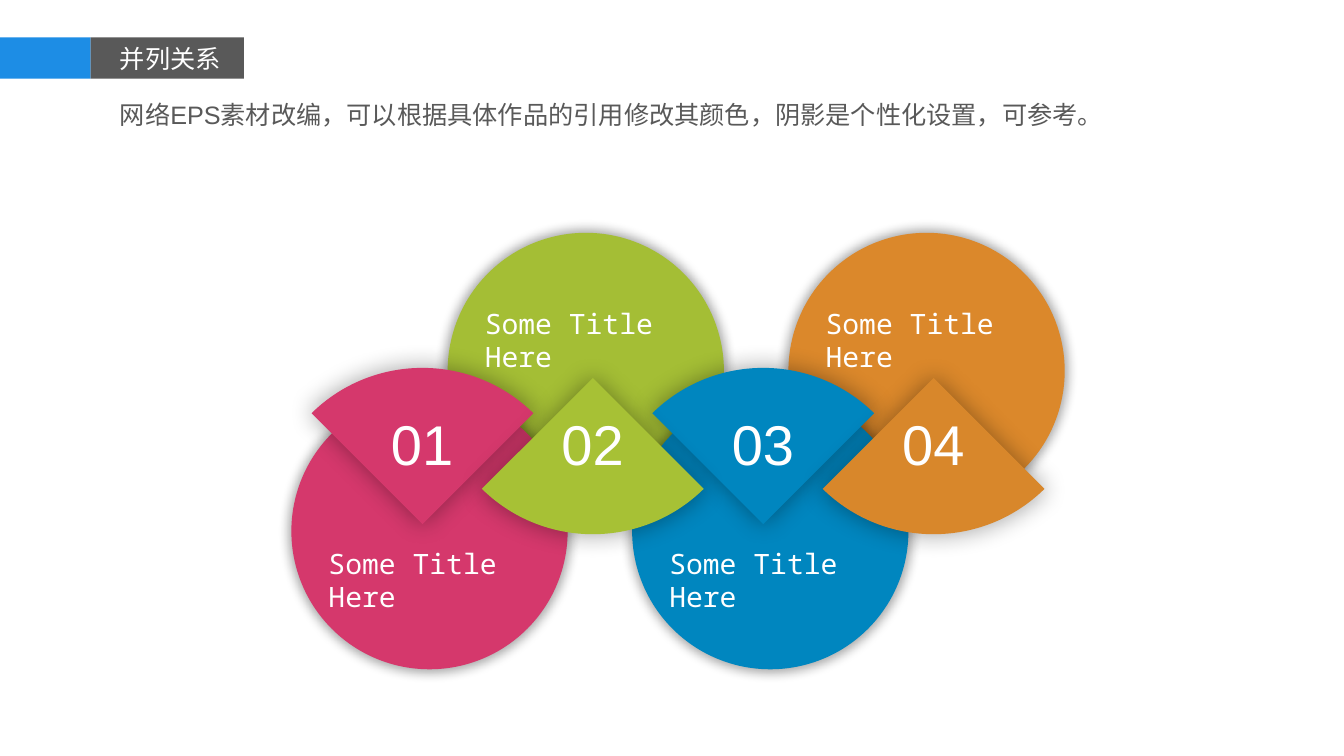
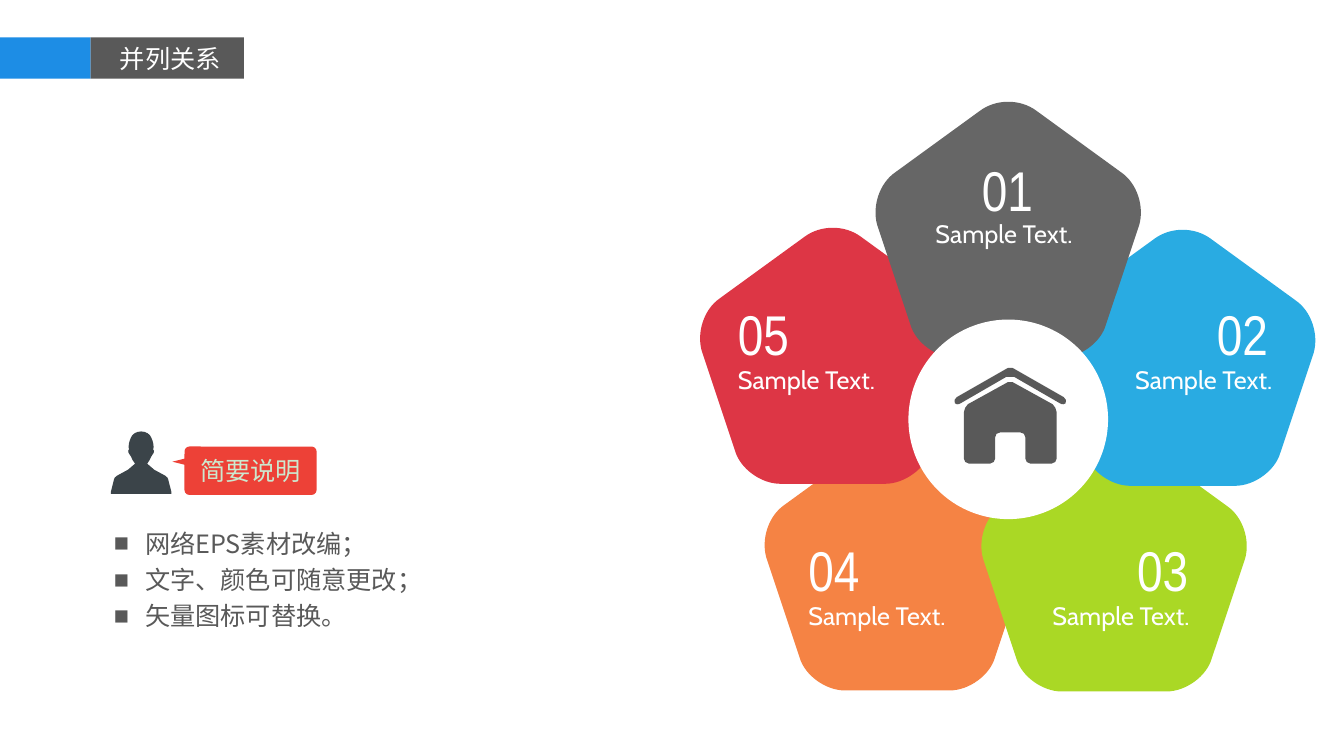
from lxml.etree import SubElement
from pptx import Presentation
from pptx.dml.color import RGBColor
from pptx.enum.shapes import MSO_SHAPE
from pptx.enum.text import MSO_ANCHOR, MSO_AUTO_SIZE, PP_ALIGN
from pptx.oxml.ns import qn
from pptx.util import Inches, Pt

WHITE = RGBColor(0xFF, 0xFF, 0xFF)
PALE = RGBColor(0xCC, 0xE8, 0xCF)
BLUE = RGBColor(0x1D, 0x8D, 0xE5)
DARK = RGBColor(0x59, 0x59, 0x59)
SLATE = RGBColor(0x3B, 0x44, 0x49)
ALERT = RGBColor(0xED, 0x41, 0x37)
PINK = RGBColor(0xD5, 0x38, 0x6C)
OLIVE = RGBColor(0xA4, 0xBE, 0x35)
MOSS = RGBColor(0xA7, 0xC1, 0x35)
SEA = RGBColor(0x00, 0x86, 0xBF)
AMBER = RGBColor(0xDB, 0x88, 0x2B)
OCHRE = RGBColor(0xD8, 0x87, 0x2B)
GREY = RGBColor(0x66, 0x66, 0x66)
SKY = RGBColor(0x29, 0xAB, 0xE2)
LIME = RGBColor(0xAA, 0xD8, 0x25)
CORAL = RGBColor(0xF5, 0x83, 0x44)
RED = RGBColor(0xDD, 0x36, 0x45)

SANS, SLIM, MONO = "Arial", "Arial Narrow", "Noto Sans Mono"
LABEL, HAN = "Cabin", "Noto Sans CJK SC"

# In an outline a pair is a line's end; six numbers are a Bezier curve's
# two handles and end.
WEDGE = [(0, 0), (-1.1, -1.1), (-0.49, -1.7, 0.49, -1.7, 1.1, -1.1)]

# Right halves of symmetric outlines, from the top down.
PETAL = [(0, -0.09), (0.1, -0.09, 0.2, -0.06, 0.28, 0), (1.12, 0.61),
         (1.28, 0.72, 1.35, 0.95, 1.3, 1.13), (0.97, 2.12),
         (0.92, 2.3, 0.71, 2.45, 0.52, 2.45)]
PERSON = [(0, 0.03), (0.05, 0.03, 0.09, 0.06, 0.1, 0.09),
          (0.12, 0.13, 0.13, 0.18, 0.12, 0.21),
          (0.14, 0.22, 0.12, 0.26, 0.1, 0.28),
          (0.09, 0.3, 0.08, 0.33, 0.06, 0.35), (0.13, 0.41), (0.24, 0.47),
          (0.26, 0.48, 0.27, 0.5, 0.27, 0.51), (0.3, 0.63), (0.3, 0.65)]
HOUSE = [(0, 0.15), (0.02, 0.15, 0.03, 0.15, 0.04, 0.16), (0.42, 0.37),
         (0.44, 0.39, 0.46, 0.42, 0.46, 0.45), (0.46, 0.91),
         (0.46, 0.93, 0.44, 0.96, 0.41, 0.96), (0.2, 0.96),
         (0.17, 0.96, 0.15, 0.93, 0.15, 0.91), (0.15, 0.7),
         (0.15, 0.67, 0.13, 0.65, 0.1, 0.65)]
ROOF = [(0, 0.01), (0.02, 0.01, 0.03, 0.01, 0.04, 0.02), (0.53, 0.3),
        (0.55, 0.31, 0.56, 0.34, 0.55, 0.36),
        (0.54, 0.37, 0.52, 0.38, 0.49, 0.36), (0.04, 0.1)]


def paint(shape, color):
    shape.fill.solid()
    shape.fill.fore_color.rgb = color
    shape.line.fill.background()
    shape.shadow.inherit = False
    return shape


def block(shapes, kind, box, color):
    return paint(shapes.add_shape(kind, *map(Inches, box)), color)


def glow(shape, blur, alpha):
    """Give the shape a soft black shadow, a little larger than itself."""
    effects = shape.element.spPr.find(qn("a:effectLst"))
    shadow = SubElement(effects, qn("a:outerShdw"), blurRad=str(Pt(blur)),
                        dist="0", dir="0", sx="102000", sy="102000",
                        algn="ctr", rotWithShape="0")
    black = SubElement(shadow, qn("a:srgbClr"), val="000000")
    SubElement(black, qn("a:alpha"), val=str(alpha * 1000))


def draw(shapes, outline, left, top, color, flip=1):
    """Draw a closed outline of lines and curves; flip -1 upends it."""
    spots = [(Inches(left + part[i]), Inches(top + flip * part[i + 1]))
             for part in outline for i in range(0, len(part), 2)]
    form = shapes.build_freeform(*spots[0])
    form.add_line_segments(spots[1:], close=True)
    shape = form.convert_to_shape()
    lines = iter(list(shape.element.iter(qn("a:lnTo"))))
    for part in outline[1:]:
        first = next(lines)
        if len(part) == 6:
            curve = first.makeelement(qn("a:cubicBezTo"))
            first.addprevious(curve)
            for line in (first, next(lines), next(lines)):
                curve.append(line[0])
                line.getparent().remove(line)
    return paint(shape, color)


def mirror(shapes, half, mid, top, color):
    """Draw a half outline and its reflection as one closed shape."""
    ends = [part[-2:] for part in half]
    x, y = ends[-1]
    whole = half + [(-x, y)]
    for part, (x, y) in zip(half[:0:-1], ends[-2::-1]):
        if len(part) == 6:
            ax, ay, bx, by = part[:4]
            whole.append((-bx, by, -ax, ay, -x, y))
        else:
            whole.append((-x, y))
    return draw(shapes, whole, mid, top, color)


def style(par, size, font, color):
    for run in par.runs:
        run.font.size = Pt(size)
        run.font.name = font
        run.font.color.rgb = color
        SubElement(run.font._element, qn("a:ea"), typeface=HAN)


def write(slide, box, text, size, font, color=WHITE, wrap=False):
    frame = slide.shapes.add_textbox(*map(Inches, box)).text_frame
    frame.word_wrap = wrap
    frame.auto_size = MSO_AUTO_SIZE.SHAPE_TO_FIT_TEXT
    frame.text = text
    for par in frame.paragraphs:
        style(par, size, font, color)
    return frame


def start(deck, title):
    """Add a slide with the shared title band."""
    slide = deck.slides.add_slide(deck.slide_layouts[6])
    slide.background.fill.solid()
    slide.background.fill.fore_color.rgb = WHITE
    block(slide.shapes, MSO_SHAPE.RECTANGLE, (0, 0.37, 0.9, 0.41), BLUE)
    block(slide.shapes, MSO_SHAPE.RECTANGLE, (0.9, 0.37, 1.52, 0.41), DARK)
    write(slide, (1.09, 0.38, 1.21, 0.4), title, 18, SANS)
    return slide


def chain(slide, left, top):
    """Four discs, low and high by turns, each with a numbered wedge."""
    size, pitch = 2.74, 1.69
    pairs = [(PINK, PINK), (OLIVE, MOSS), (SEA, SEA), (AMBER, OCHRE)]
    order = (1, 3, 0, 2)

    def tip(i):
        return left + 1.43 + i * pitch, top + (1.45 if i % 2 else 2.9)

    for i in order:
        x, y = tip(i)
        shift = -0.07 if i % 2 else 0.07
        disc = block(slide.shapes, MSO_SHAPE.OVAL,
                     (x + shift - size / 2, y + shift - size / 2, size, size),
                     pairs[i][0])
        glow(disc, 8, 34)
    for i in (0, 2, 1, 3):
        wedge = draw(slide.shapes, WEDGE, *tip(i), pairs[i][1],
                     flip=-1 if i % 2 else 1)
        glow(wedge, 17, 32)
    for i in range(4):
        x, y = tip(i)
        write(slide, (x - 0.41, top + 1.71, 0.83, 0.77), f"0{i + 1}", 40, SANS)
        dx, dy = (-1.17, -0.76) if i % 2 else (-1.03, 0.17)
        write(slide, (x + dx, y + dy, 2.23, 0.44), "Some Title Here",
              20, MONO, wrap=True)


def flower(slide, mid, top):
    """Five petals around a hub that holds a house."""
    petals = [("04", CORAL, -1.1, 3.3, -2.08, 4.28, -2.08),
              ("03", LIME, 1.05, 3.31, 1.18, 4.28, 0.34),
              ("05", RED, -1.74, 1.25, -2.78, 1.94, -2.78),
              ("02", SKY, 1.73, 1.27, 1.97, 1.94, 1.16),
              ("01", GREY, 0, 0, -0.36, 0.51, -0.82)]
    group = slide.shapes.add_group_shape()
    for _, color, dx, dy, *_ in petals:
        mirror(group.shapes, PETAL, mid + dx, top + 0.12 + dy, color)
    block(group.shapes, MSO_SHAPE.OVAL,
          (mid - 0.99, top + 2.19, 1.98, 1.98), WHITE)
    for number, _, _, _, x, y, label in petals:
        write(slide, (mid + x, top + y, 0.8, 0.77), number, 40, SLIM)
        gap = 0.63 if number == "01" else 0.65
        write(slide, (mid + label, top + y + gap, 1.64, 0.4),
              "Sample Text.", 18, LABEL)
    icon = slide.shapes.add_group_shape()
    for half in (HOUSE, ROOF):
        mirror(icon.shapes, half, mid + 0.02, top + 2.66, DARK)


def brief(slide, left, top):
    """A speaker with a callout, and bullets below."""
    mirror(slide.shapes, PERSON, left + 0.37, top, SLATE)
    call = block(slide.shapes, MSO_SHAPE.ROUNDED_RECTANGLE,
                 (left + 0.8, top + 0.18, 1.31, 0.48), ALERT)
    call.adjustments[0] = 0.1
    frame = call.text_frame
    frame.margin_left = frame.margin_right = 0
    frame.margin_top = frame.margin_bottom = 0
    frame.vertical_anchor = MSO_ANCHOR.MIDDLE
    frame.text = "简要说明"
    frame.paragraphs[0].alignment = PP_ALIGN.CENTER
    style(frame.paragraphs[0], 18, HAN, PALE)
    beak = block(slide.shapes, MSO_SHAPE.ISOSCELES_TRIANGLE,
                 (left + 0.72, top + 0.25, 0.08, 0.16), ALERT)
    beak.rotation = 270
    notes = ["网络EPS素材改编；", "文字、颜色可随意更改；", "矢量图标可替换。"]
    frame = write(slide, (left, top + 0.88, 3.89, 1.19), "\n".join(notes),
                  18, HAN, DARK, wrap=True)
    for par in frame.paragraphs:
        par.line_spacing = 1.2
        props = par._p.get_or_add_pPr()
        props.set("marL", str(Inches(0.31)))
        props.set("indent", str(-Inches(0.31)))
        SubElement(props, qn("a:buFont"), typeface=SANS)
        SubElement(props, qn("a:buChar"), char="■")


def main():
    deck = Presentation()
    deck.slide_width, deck.slide_height = Inches(13.33), Inches(7.5)
    slide = start(deck, "并列关系")
    chain(slide, 2.76, 2.3)
    write(slide, (1.09, 0.94, 9.91, 0.4),
          "网络EPS素材改编，可以根据具体作品的引用修改其颜色，阴影是个性化设置，可参考。",
          18, SANS, DARK)
    slide = start(deck, "并列关系")
    brief(slide, 1.03, 4.25)
    flower(slide, 10, 0.98)
    deck.save("out.pptx")


if __name__ == "__main__":
    main()
